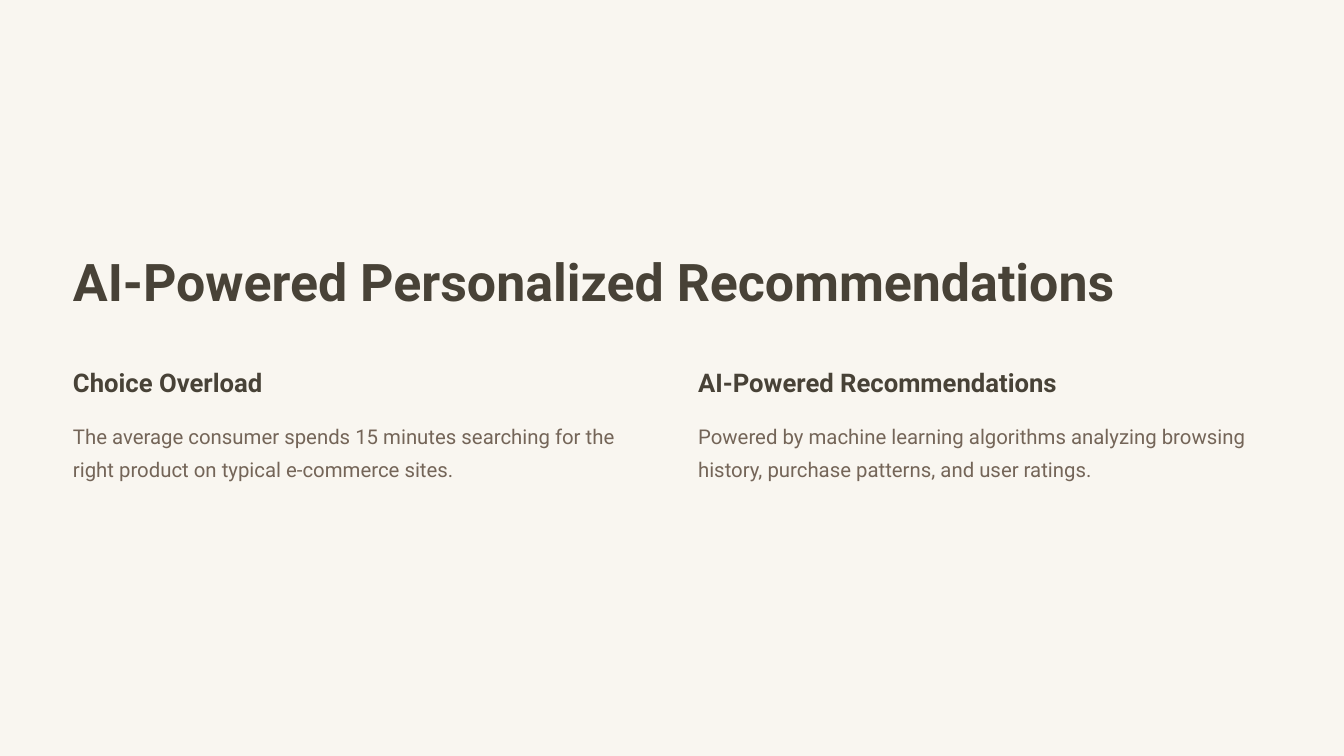
from dataclasses import dataclass

from pptx import Presentation
from pptx.dml.color import RGBColor
from pptx.enum.shapes import MSO_SHAPE
from pptx.util import Pt


@dataclass(frozen=True)
class TextStyle:
    size: float
    leading: float
    color: str
    bold: bool


@dataclass(frozen=True)
class Theme:
    font: str = "Roboto"
    panel: str = "F9F6F0"
    title: TextStyle = TextStyle(55.6, 69.4, "484237", True)
    heading: TextStyle = TextStyle(27.5, 34.4, "484237", True)
    body: TextStyle = TextStyle(21.8, 35.6, "746558", False)


THEME = Theme()

# Layout, in points
SLIDE_WIDTH, SLIDE_HEIGHT = 1440, 810
MARGIN = 78.2
COLUMN_STEP = 669.8
COLUMN_WIDTH = 615
TITLE_TOP, TITLE_WIDTH, TITLE_HEIGHT = 265, 1227, 73.5
HEADING_TOP, HEADING_HEIGHT = 391.7, 37.5
BODY_TOP, BODY_HEIGHT = 444.7, 77.8

# Heading, heading width, body
COLUMNS = [
    ("Choice Overload", 279.4,
     "The average consumer spends 15 minutes searching for the right product "
     "on typical e-commerce sites."),
    ("AI-Powered Recommendations", 428.4,
     "Powered by machine learning algorithms analyzing browsing history, "
     "purchase patterns, and user ratings."),
]


def set_attributes(target, values):
    for name, value in values.items():
        setattr(target, name, value)


def add_panel(slide):
    panel = slide.shapes.add_shape(
        MSO_SHAPE.RECTANGLE, 0, 0, Pt(SLIDE_WIDTH), Pt(SLIDE_HEIGHT))
    panel.shadow.inherit = False
    panel.fill.solid()
    panel.fill.fore_color.rgb = RGBColor.from_string(THEME.panel)
    panel.line.fill.background()


def add_text(slide, text, style, left, top, width, height):
    frame = slide.shapes.add_textbox(
        Pt(left), Pt(top), Pt(width), Pt(height)).text_frame
    set_attributes(frame, {
        "word_wrap": True,
        "margin_left": 0,
        "margin_top": 0,
        "margin_right": 0,
        "margin_bottom": 0,
    })
    paragraph = frame.paragraphs[0]
    paragraph.line_spacing = Pt(style.leading)
    run = paragraph.add_run()
    run.text = text
    set_attributes(run.font, {
        "name": THEME.font,
        "size": Pt(style.size),
        "bold": style.bold,
    })
    run.font.color.rgb = RGBColor.from_string(style.color)


def add_column(slide, index, heading, heading_width, body):
    left = MARGIN + index * COLUMN_STEP
    add_text(slide, heading, THEME.heading,
             left, HEADING_TOP, heading_width, HEADING_HEIGHT)
    add_text(slide, body, THEME.body,
             left, BODY_TOP, COLUMN_WIDTH, BODY_HEIGHT)


def main():
    presentation = Presentation()
    set_attributes(presentation, {
        "slide_width": Pt(SLIDE_WIDTH),
        "slide_height": Pt(SLIDE_HEIGHT),
    })
    slide = presentation.slides.add_slide(presentation.slide_layouts[6])

    # Cream panel across the slide
    add_panel(slide)

    # Title
    add_text(slide, "AI-Powered Personalized Recommendations", THEME.title,
             MARGIN, TITLE_TOP, TITLE_WIDTH, TITLE_HEIGHT)

    # Problem and answer, side by side
    for index, column in enumerate(COLUMNS):
        add_column(slide, index, *column)

    presentation.save("out.pptx")


if __name__ == "__main__":
    main()
